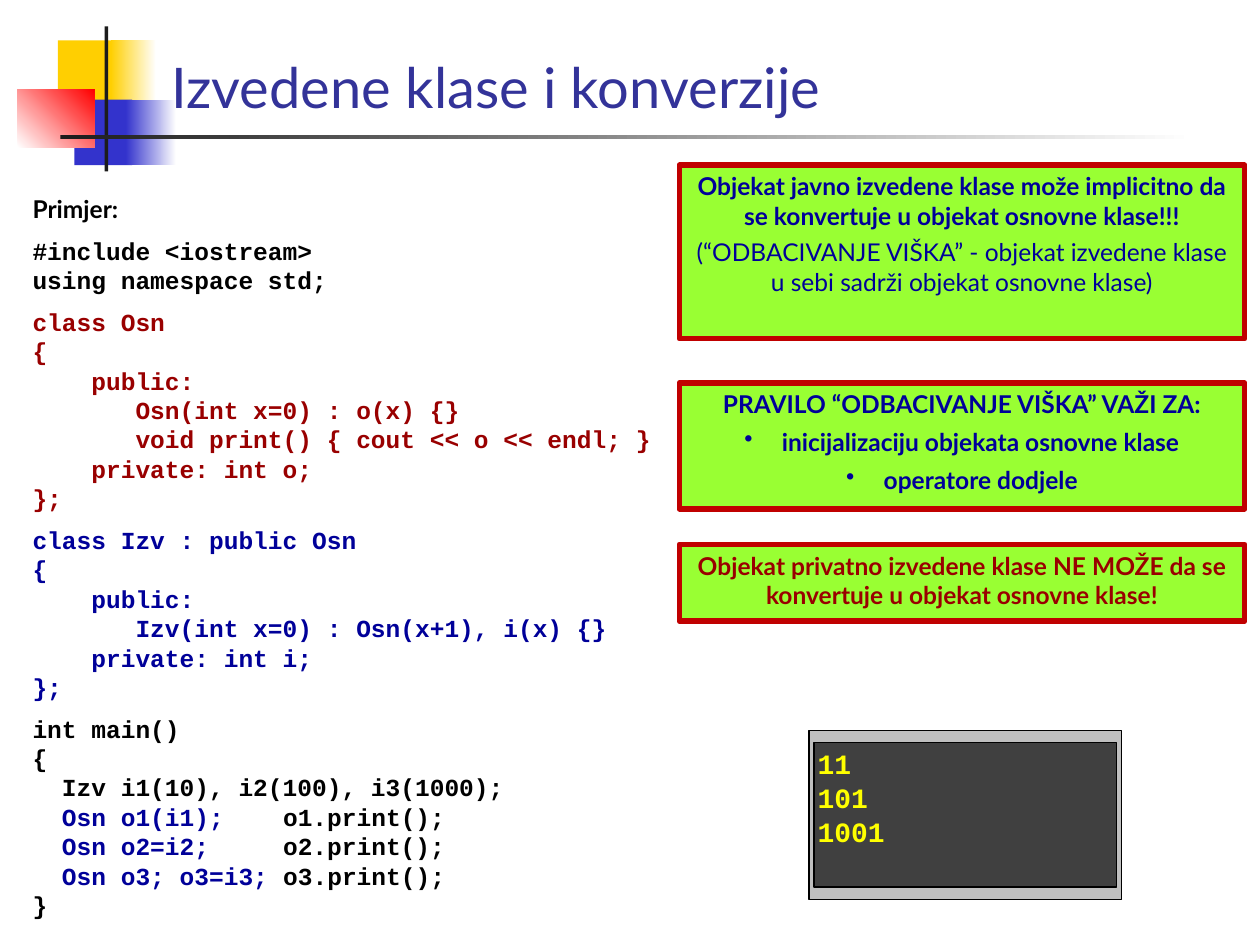
"""Build the slide on derived classes and conversions."""
from dataclasses import dataclass

from lxml.etree import SubElement
from pptx import Presentation
from pptx.dml.color import RGBColor
from pptx.enum.shapes import MSO_SHAPE as Preset
from pptx.enum.text import MSO_ANCHOR as Anchor, MSO_AUTO_SIZE as AutoSize, PP_ALIGN as Align
from pptx.oxml.ns import qn
from pptx.util import Inches, Pt

SANS, MONO = "Lato", "Courier New"
BLACK, WHITE, DARK = "000000", "FFFFFF", "1C1C1C"
NAVY, MAROON, YELLOW, BLUE = "000099", "990000", "FFCF01", "3333CC"
BODY_SIZE, CONSOLE_SIZE = 14, 16
LINE_FACTOR = 1.2
BLOCK_GAP = 7
CALLOUT_LEFT, CALLOUT_WIDTH = 5.39, 4.49


@dataclass
class Box:
    left: float
    top: float
    width: float
    height: float

    def lengths(self) -> list:
        """Return the box as lengths for python-pptx."""
        return [Inches(n) for n in (self.left, self.top, self.width, self.height)]


@dataclass
class Block:
    """A rectangle with a plain fill, or a gradient when it has an end colour."""
    box: Box
    color: str
    end_color: str = ""
    angle: int = 0
    line: str = ""
    line_width: float = 0


@dataclass
class Line:
    """One paragraph of a callout."""
    text: str
    bold: bool = True
    space_before: float = 0
    bullet: bool = False


@dataclass
class Callout:
    top: float
    height: float
    color: str
    lines: list[Line]


@dataclass
class CodeBlock:
    """Source lines in one colour; a line may instead be a list of (text, colour)."""
    color: str
    lines: list


DECORATIONS = [
    Block(Box(0.46, 0.32, 0.48, 0.52), YELLOW),
    Block(Box(0.88, 0.32, 0.36, 0.52), YELLOW, WHITE),
    Block(Box(0.59, 0.79, 0.46, 0.52), BLUE),
    Block(Box(1, 0.79, 0.4, 0.52), BLUE, WHITE),
    Block(Box(0.14, 0.71, 0.61, 0.46), WHITE, "FF0000", 45),
    Block(Box(0.83, 0.21, 0.03, 1.15), DARK),
    Block(Box(0.48, 1.07, 9, 0.03), DARK, WHITE),
]
CONSOLE = [
    Block(Box(6.42, 5.8, 2.48, 1.34), "BFBFBF", line=BLACK),
    Block(Box(6.46, 5.89, 2.4, 1.15), "404040", line=BLACK),
]
CALLOUTS = [
    Callout(1.31, 1.38, NAVY, [
        Line("Objekat javno izvedene klase može implicitno da se konvertuje "
             "u objekat osnovne klase!!!"),
        Line("(“ODBACIVANJE VIŠKA” - objekat izvedene klase u sebi sadrži "
             "objekat osnovne klase)", bold=False, space_before=4.2),
    ]),
    Callout(3.04, 1, NAVY, [
        Line("PRAVILO “ODBACIVANJE VIŠKA” VAŽI ZA:"),
        Line(" inicijalizaciju objekata osnovne klase", space_before=4.9, bullet=True),
        Line(" operatore dodjele", space_before=4.9, bullet=True),
    ]),
    Callout(4.32, 0.61, MAROON, [
        Line("Objekat privatno izvedene klase NE MOŽE da se konvertuje "
             "u objekat osnovne klase!"),
    ]),
]
CODE = [
    CodeBlock(BLACK, ["#include <iostream>", "using namespace std;"]),
    CodeBlock(MAROON, [
        "class Osn", "{", "    public:", "       Osn(int x=0) : o(x) {}",
        "       void print() { cout << o << endl; }", "    private: int o;", "};",
    ]),
    CodeBlock(NAVY, [
        "class Izv : public Osn", "{", "    public:",
        "       Izv(int x=0) : Osn(x+1), i(x) {}", "    private: int i;", "};",
    ]),
    CodeBlock(BLACK, [
        "int main()", "{", "  Izv i1(10), i2(100), i3(1000);",
        [("  Osn o1(i1);", NAVY), ("    o1.print();", BLACK)],
        [("  Osn o2=i2;", NAVY), ("     o2.print();", BLACK)],
        [("  Osn o3; o3=i3;", NAVY), (" o3.print();", BLACK)],
        "}",
    ]),
]


def rgb(color: str) -> RGBColor:
    """Turn a hex string into a colour."""
    return RGBColor.from_string(color)


def add_run(paragraph, text: str, color: str, size: float, font: str = SANS,
            bold: bool = True) -> None:
    """Append a formatted run."""
    run = paragraph.add_run()
    run.text = text
    run.font.name, run.font.size, run.font.bold = font, Pt(size), bold
    run.font.color.rgb = rgb(color)


def add_paragraph(frame, size: float, space_before: float = 0, align=Align.LEFT):
    """Return the empty first paragraph, or a new one, with its spacing set."""
    first = frame.paragraphs[0]
    paragraph = frame.add_paragraph() if first.runs else first
    paragraph.alignment = align
    paragraph.space_before = Pt(space_before)
    paragraph.line_spacing = Pt(size * LINE_FACTOR)
    return paragraph


def set_indent(paragraph, margin: float, bullet: str = "") -> None:
    """Give a paragraph a hanging indent and, if wanted, a bullet."""
    properties = paragraph._p.get_or_add_pPr()
    properties.set("marL", str(Inches(margin)))
    properties.set("indent", str(-Inches(margin)))
    if bullet:
        SubElement(properties, qn("a:buChar")).set("char", bullet)


def prepare_frame(shape, anchor=Anchor.TOP):
    """Set wrapping, fitting and anchor of a shape's text."""
    frame = shape.text_frame
    frame.word_wrap, frame.auto_size = True, AutoSize.NONE
    frame.vertical_anchor = anchor
    return frame


def add_block(shapes, block: Block):
    """Draw a rectangle."""
    shape = shapes.add_shape(Preset.RECTANGLE, *block.box.lengths())
    shape.shadow.inherit = False
    if block.end_color:
        shape.fill.gradient()
        shape.fill.gradient_angle = block.angle
        for stop, color in zip(shape.fill.gradient_stops, (block.color, block.end_color)):
            stop.color.rgb = rgb(color)
    else:
        shape.fill.solid()
        shape.fill.fore_color.rgb = rgb(block.color)
    if block.line:
        shape.line.color.rgb = rgb(block.line)
        shape.line.width = Pt(block.line_width)
    else:
        shape.line.fill.background()
    return shape


def add_callout(shapes, callout: Callout) -> None:
    """Draw a green box with centred text."""
    box = Box(CALLOUT_LEFT, callout.top, CALLOUT_WIDTH, callout.height)
    frame = prepare_frame(add_block(shapes, Block(box, "99FF33", line="C00000", line_width=3)))
    for line in callout.lines:
        paragraph = add_paragraph(frame, BODY_SIZE, line.space_before, Align.CENTER)
        if line.bullet:
            set_indent(paragraph, 0.25, "•")
        add_run(paragraph, line.text, callout.color, BODY_SIZE, bold=line.bold)


def add_code(shapes) -> None:
    """Write the example program under its heading."""
    frame = prepare_frame(shapes.add_textbox(*Box(0.16, 1.49, 7.91, 5.73).lengths()))
    heading = add_paragraph(frame, BODY_SIZE)
    set_indent(heading, 0.38)
    add_run(heading, "Primjer:", BLACK, BODY_SIZE)
    for block in CODE:
        for index, line in enumerate(block.lines):
            paragraph = add_paragraph(frame, BODY_SIZE, 0 if index else BLOCK_GAP)
            set_indent(paragraph, 0.38)
            for text, color in [(line, block.color)] if isinstance(line, str) else line:
                add_run(paragraph, text, color, BODY_SIZE, MONO)


def add_console(shapes) -> None:
    """Draw the console window and its output."""
    window = shapes.add_group_shape()
    for block in CONSOLE:
        add_block(window.shapes, block)
    output = shapes.add_shape(Preset.ROUNDED_RECTANGLE, *Box(6.49, 5.88, 1.5, 0.9).lengths())
    output.adjustments[0] = 0
    output.shadow.inherit = False
    output.fill.background()
    output.line.fill.background()
    frame = prepare_frame(output)
    frame.margin_left = frame.margin_right = 0
    for text in ("11", "101", "1001"):
        add_run(add_paragraph(frame, CONSOLE_SIZE), text, "FFFF00", CONSOLE_SIZE, MONO)


def main() -> None:
    """Build and save the presentation."""
    presentation = Presentation()
    presentation.slide_width, presentation.slide_height = Inches(10), Inches(7.5)
    slide = presentation.slides.add_slide(presentation.slide_layouts[5])
    shapes, title = slide.shapes, slide.shapes.title
    for block in DECORATIONS:
        add_block(shapes, block)
    shapes._spTree.append(title._element)
    title.left, title.top, title.width, title.height = Box(1.26, 0.13, 8.74, 0.87).lengths()
    frame = prepare_frame(title, Anchor.BOTTOM)
    add_run(add_paragraph(frame, 32), "Izvedene klase i konverzije", "333399", 32, bold=False)
    add_callout(shapes, CALLOUTS[0])
    add_code(shapes)
    add_console(shapes)
    for callout in CALLOUTS[1:]:
        add_callout(shapes, callout)
    presentation.save("out.pptx")


if __name__ == "__main__":
    main()
